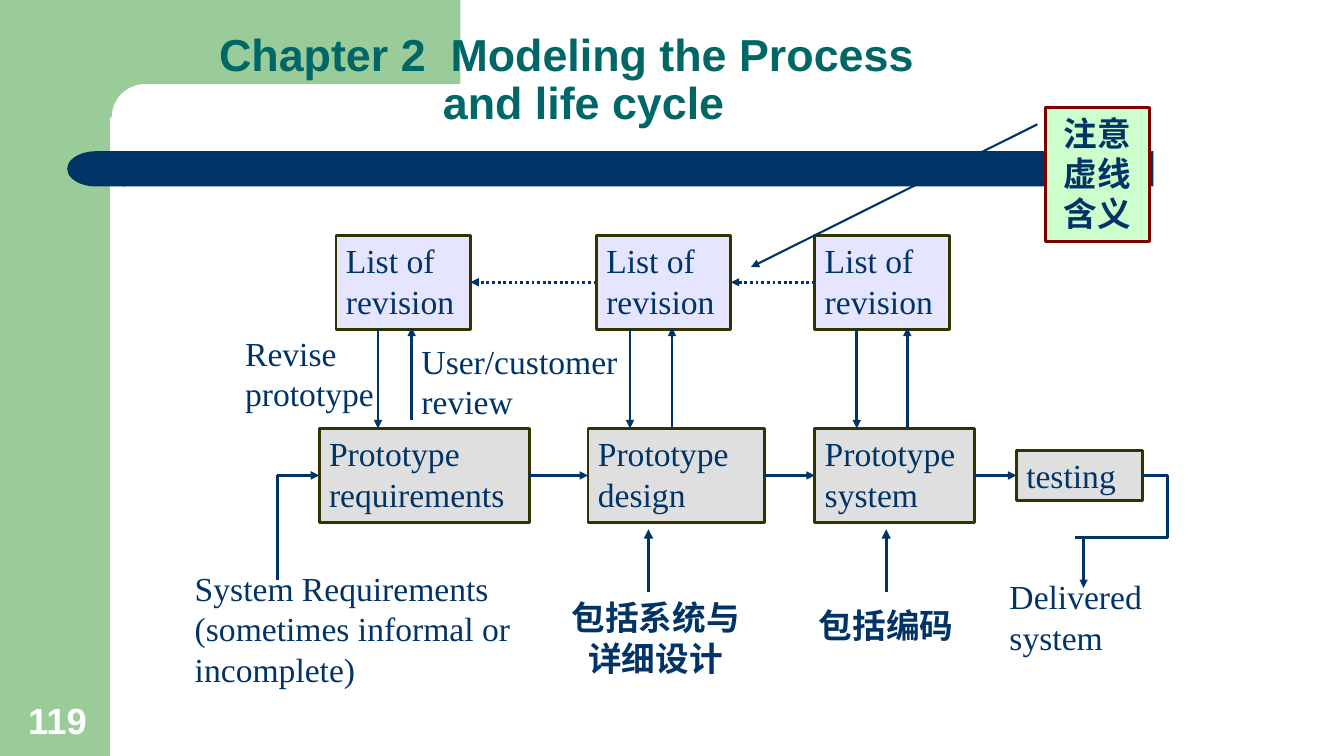
"""Build the prototyping model slide: process boxes, revision lists and the arrows between them."""
from dataclasses import dataclass

from lxml.etree import SubElement
from pptx import Presentation
from pptx.dml.color import RGBColor
from pptx.enum.dml import MSO_LINE
from pptx.enum.shapes import MSO_CONNECTOR, MSO_SHAPE
from pptx.enum.text import MSO_ANCHOR, MSO_AUTO_SIZE, PP_ALIGN
from pptx.oxml.ns import qn
from pptx.util import Inches, Pt


@dataclass(frozen=True)
class Theme:
    navy: RGBColor = RGBColor(0x00, 0x33, 0x66)
    teal: RGBColor = RGBColor(0x00, 0x66, 0x66)
    green: RGBColor = RGBColor(0x99, 0xCC, 0x99)
    white: RGBColor = RGBColor(0xFF, 0xFF, 0xFF)
    gray: RGBColor = RGBColor(0xC0, 0xC0, 0xC0)
    lilac: RGBColor = RGBColor(0xCC, 0xCC, 0xFF)
    mint: RGBColor = RGBColor(0xCC, 0xFF, 0xCC)
    olive: RGBColor = RGBColor(0x33, 0x33, 0x00)
    maroon: RGBColor = RGBColor(0x80, 0x00, 0x00)
    sans: str = "Arial"
    serif: str = "Times New Roman"
    title_size: int = 32
    number_size: int = 26
    body_size: int = 24


theme = Theme()
deck = Presentation()
deck.slide_width, deck.slide_height = Inches(13.33), Inches(7.5)
COLUMN, ROW = deck.slide_width / 160, deck.slide_height / 90
page = deck.slides.add_slide(deck.slide_layouts[5])


def add_box(column, row, columns, rows, words="", fill=None, outline=None, alpha=None,
            kind=MSO_SHAPE.RECTANGLE, font=theme.serif, size=theme.body_size, color=theme.navy):
    """Add a shape, or a text box when there is no fill, placed on the grid; sans text is bold."""
    place = [round(value) for value in (column * COLUMN, row * ROW, columns * COLUMN, rows * ROW)]
    if fill is None:
        box = page.shapes.add_textbox(*place)
    else:
        box = page.shapes.add_shape(kind, *place)
        box.shadow.inherit = False
        box.fill.solid()
        box.fill.fore_color.rgb = fill
        if alpha:
            tint = box.element.spPr.find(f".//{qn('a:srgbClr')}")
            SubElement(tint, qn("a:alpha")).set("val", str(alpha * 1000))
        if outline is None:
            box.line.fill.background()
        else:
            box.line.color.rgb = outline
            box.line.width = Pt(2)
    if words:
        frame = box.text_frame
        frame.word_wrap = True
        frame.auto_size = MSO_AUTO_SIZE.SHAPE_TO_FIT_TEXT
        frame.vertical_anchor = MSO_ANCHOR.TOP
        para = frame.paragraphs[0]
        para.alignment = PP_ALIGN.CENTER if font == theme.sans else PP_ALIGN.LEFT
        span = para.add_run()
        span.text = words
        span.font.name, span.font.size = font, Pt(size)
        span.font.bold = font == theme.sans
        span.font.color.rgb = color
    return box


def add_line(start, end, arrow=True, dotted=False, width=2.0):
    """Add a straight line between two grid points; a box and side stand for a joined end."""
    joined = [isinstance(point[0], (int, float)) is False for point in (start, end)]
    points = [(0, 0) if glued else (round(point[0] * COLUMN), round(point[1] * ROW))
              for point, glued in zip((start, end), joined)]
    link = page.shapes.add_connector(MSO_CONNECTOR.STRAIGHT, *points[0], *points[1])
    if joined[0]:
        link.begin_connect(*start)
    if joined[1]:
        link.end_connect(*end)
    link.line.color.rgb = theme.navy
    link.line.width = Pt(width)
    if dotted:
        link.line.dash_style = MSO_LINE.ROUND_DOT
    if arrow:
        SubElement(link.line._get_or_add_ln(), qn("a:tailEnd")).set("type", "triangle")
    SubElement(link.element.spPr, qn("a:effectLst"))


TOP, LEFT, BOTTOM, RIGHT = range(4)
FLOW_ROW, LIST_ROW, BOX_ROWS = 56.6, 33.6, 11.2

add_box(0, 0, 13.1, 90, fill=theme.green)
add_box(11.8, 0, 43, 14, fill=theme.green)
panel = add_box(13.3, 10, 89.3, 8, fill=theme.white, kind=MSO_SHAPE.ROUNDED_RECTANGLE)
panel.adjustments[0] = 0.5
add_box(14.6, 18, 122.7, 4.2, fill=theme.navy)
band_cap = add_box(8, 18, 6.9, 4.2, fill=theme.navy, kind=MSO_SHAPE.FLOWCHART_DELAY)
band_cap.rotation = 180
add_box(1.7, 82.5, 10.3, 6.4, "119", font=theme.sans, size=theme.number_size, color=theme.white)

title = page.shapes.title
page.shapes._spTree.append(title.element)
title.left, title.top = round(16 * COLUMN), round(5 * ROW)
title.width, title.height = round(140 * COLUMN), round(11 * ROW)
heading = title.text_frame
heading.word_wrap = True
heading.auto_size = MSO_AUTO_SIZE.NONE
heading.vertical_anchor = MSO_ANCHOR.BOTTOM
title_lines = [("Chapter 2  Modeling the Process", 0.74), ("and life cycle", 2.96)]
for index, (words, indent) in enumerate(title_lines):
    para = heading.add_paragraph() if index else heading.paragraphs[0]
    para.alignment = PP_ALIGN.LEFT
    para.line_spacing = 0.9
    para.space_before = Pt(0)
    para._p.get_or_add_pPr().set("marL", str(Inches(indent)))
    span = para.add_run()
    span.text = words
    span.font.name, span.font.size, span.font.bold = theme.sans, Pt(theme.title_size), True
    span.font.color.rgb = theme.teal

steps = [add_box(column, FLOW_ROW - rows / 2, columns, rows, words, theme.gray, theme.olive, 50)
         for column, columns, rows, words in [
             (38, 25, BOX_ROWS, "Prototype requirements"),
             (70, 21, BOX_ROWS, "Prototype design"),
             (97, 19, BOX_ROWS, "Prototype system"),
             (121, 15, 6, "testing")]]
lists = [add_box(column, LIST_ROW - BOX_ROWS / 2, 16, BOX_ROWS, "List of revision",
                 theme.lilac, theme.olive, 50)
         for column in (40, 71, 97)]

for step, following in zip(steps, steps[1:]):
    add_line((step, RIGHT), (following, LEFT))
for earlier, later in zip(lists, lists[1:]):
    add_line((later, LEFT), (earlier, RIGHT), dotted=True)
for down, up, up_start in [(45, 49, 50), (75, 80, 51), (102, 108, 51)]:
    add_line((down, 39), (down, 51))
    add_line((up, up_start), (up, 39))

add_line((steps[-1], RIGHT), (139, FLOW_ROW), arrow=False)
add_line((139, FLOW_ROW), (139, 64), arrow=False)
add_line((139, 64), (128, 64), arrow=False)
add_line((129, 64), (129, 70))
add_line((33, FLOW_ROW), (33, 69), arrow=False)
add_line((33, FLOW_ROW), (steps[0], LEFT))
for column in (77.2, 105.5):
    add_line((column, 70.5), (column, 63), width=2.25)

for column, row, columns, rows, words, font in [
        (22, 67, 40, 15.7, "System Requirements (sometimes informal or incomplete)", theme.serif),
        (28, 39, 19, 10.9, "Revise prototype", theme.serif),
        (49, 40, 27, 10.9, "User/customer review", theme.serif),
        (119, 68, 20, 10.9, "Delivered system", theme.serif),
        (66.7, 70.5, 22.7, 10.9, "包括系统与详细设计", theme.sans),
        (96.1, 71.4, 18.8, 6, "包括编码", theme.sans)]:
    add_box(column, row, columns, rows, words, font=font)

add_box(124.5, 12.8, 12.3, 16, "注意虚线含义", theme.mint, theme.maroon, font=theme.sans)
add_line((123.5, 14.8), (89.4, 31.8), width=1.5)

deck.save("out.pptx")
